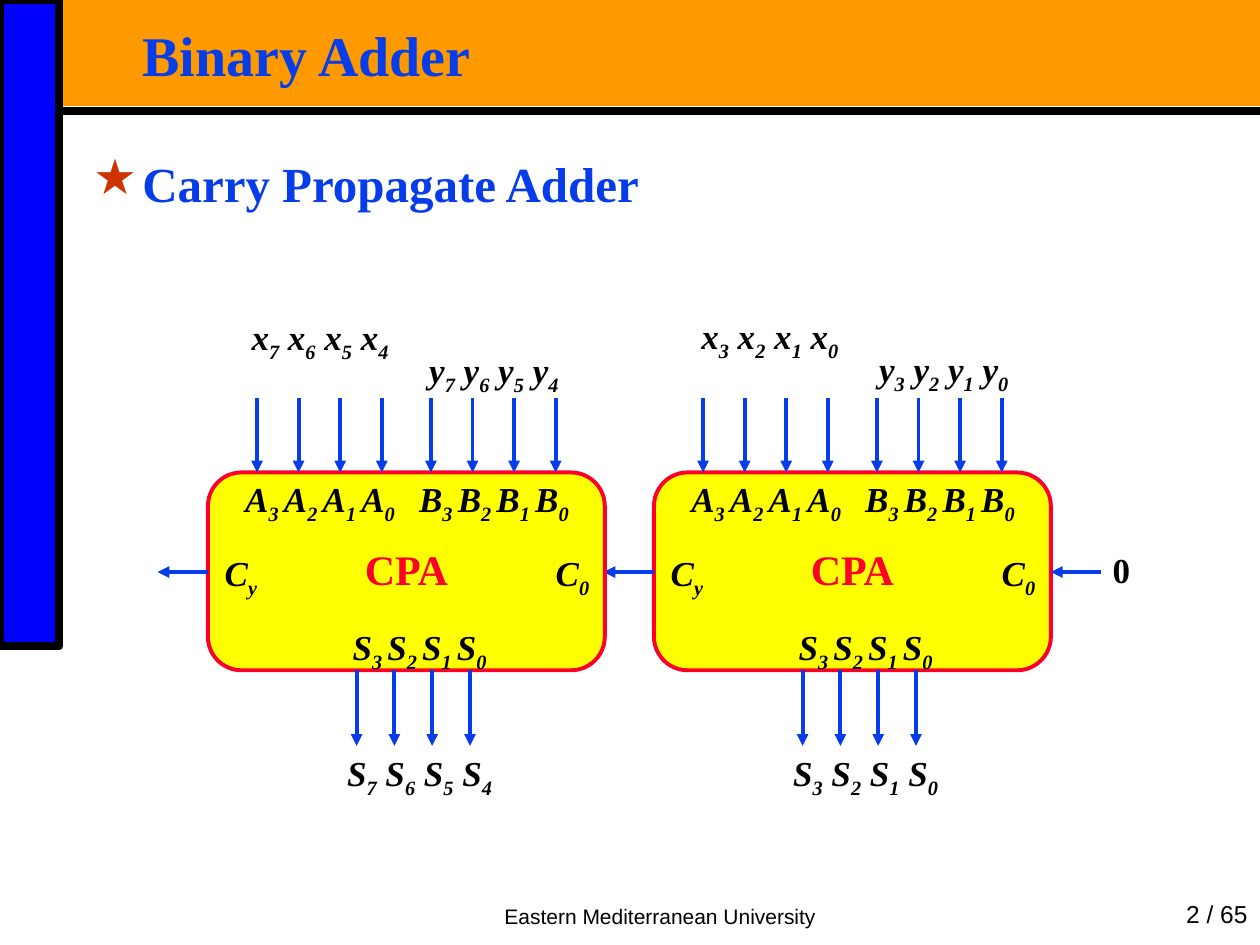
from dataclasses import dataclass, field

from lxml.etree import SubElement
from pptx import Presentation
from pptx.dml.color import RGBColor
from pptx.enum.shapes import MSO_CONNECTOR as Connector, MSO_SHAPE as Shape
from pptx.enum.text import MSO_ANCHOR as Anchor, MSO_AUTO_SIZE as AutoSize, PP_ALIGN as Align
from pptx.oxml.ns import qn
from pptx.util import Inches, Pt

COLORS = {
    "orange": "FF9900", "bar": "0000FF", "black": "000000", "blue": "063DE8",
    "star": "CC3300", "yellow": "FFFF00", "red": "FC0128",
}
SERIF, SANS = "Times New Roman", "Arial"
CENTER, LEFT, RIGHT = Align.CENTER, Align.LEFT, Align.RIGHT

# Adder geometry in inches
BODY_TOP, BODY_WIDTH, BODY_HEIGHT = 3.75, 3.15, 1.57
BODY_BOTTOM = BODY_TOP + BODY_HEIGHT
CARRY_Y, CARRY_LENGTH = 4.54, 0.4
INPUT_TOP, OUTPUT_BOTTOM = 3.16, 5.92
BUS_WIDTH = 1.38


@dataclass
class Style:
    size: float
    color: str = "black"
    name: str = SERIF
    bold: bool = True
    italic: bool = False
    paragraph: dict = field(default_factory=dict)
    frame: dict = field(default_factory=dict)
    insets: tuple[float, float] = (0, 0)


@dataclass
class Adder:
    left: float
    input_left: float
    input_top: float
    high_bit: int


GROW = {"auto_size": AutoSize.SHAPE_TO_FIT_TEXT}
FOOTER_FRAME = {"vertical_anchor": Anchor.BOTTOM}
FOOTER = Style(12, name=SANS, bold=False, frame=FOOTER_FRAME, insets=(0.1, 0.05))
PAGE = Style(14, name=SANS, bold=False, frame=FOOTER_FRAME, insets=(0.1, 0.05))
TITLE = Style(32, "blue", paragraph={"line_spacing": 0.87}, frame=GROW, insets=(0.07, 0.03))
HEADING = Style(28, "blue", paragraph={"space_before": Pt(17.5)}, insets=(0.07, 0.03))
BLOCK = Style(24, "red", paragraph={"line_spacing": 0.9, "space_before": Pt(15)},
              frame={"vertical_anchor": Anchor.MIDDLE})
PORT = Style(20, italic=True, paragraph={"line_spacing": 1.1, "space_before": Pt(12.5)},
             frame=GROW)
SIGNAL = Style(20, italic=True, paragraph={"line_spacing": 1.15}, frame=GROW)
CONSTANT = Style(20, paragraph={"line_spacing": 1.15}, frame=GROW)


def rgb(name: str) -> RGBColor:
    return RGBColor.from_string(COLORS[name])


def apply(target, values: dict) -> None:
    for attribute, value in values.items():
        setattr(target, attribute, value)


def write(shape, runs: list[tuple[str, bool]], style: Style, align):
    """Fill a shape with one paragraph; each run is (text, is_subscript)."""
    frame = shape.text_frame
    side, edge = (Inches(inset) for inset in style.insets)
    apply(frame, {"word_wrap": True, "vertical_anchor": Anchor.TOP,
                  "margin_left": side, "margin_right": side,
                  "margin_top": edge, "margin_bottom": edge, **style.frame})
    paragraph = frame.paragraphs[0]
    apply(paragraph, {"alignment": align, **style.paragraph})
    for text, subscript in runs:
        run = paragraph.add_run()
        run.text = text
        apply(run.font, {"size": Pt(style.size), "name": style.name,
                         "bold": style.bold, "italic": style.italic})
        run.font.color.rgb = rgb(style.color)
        if subscript:
            run.font._element.set("baseline", "-25000")
    return paragraph


def add_text(slide, box: tuple, runs: list[tuple[str, bool]], style: Style, align=CENTER):
    shape = slide.shapes.add_textbox(*map(Inches, box))
    return write(shape, runs, style, align)


def add_box(slide, kind, box: tuple, fill: str, line: str | None = None, width: float = 0):
    shape = slide.shapes.add_shape(kind, *map(Inches, box))
    shape.shadow.inherit = False
    shape.fill.solid()
    shape.fill.fore_color.rgb = rgb(fill)
    if line:
        shape.line.color.rgb = rgb(line)
        shape.line.width = Pt(width)
    else:
        shape.line.fill.background()
    return shape


def add_line(slide, start: tuple, end: tuple, color: str = "blue",
             width: float = 2.25, arrow: bool = True) -> None:
    line = slide.shapes.add_connector(Connector.STRAIGHT, *map(Inches, start + end))
    line.line.color.rgb = rgb(color)
    line.line.width = Pt(width)
    if arrow:
        SubElement(line.line._get_or_add_ln(), qn("a:tailEnd"), type="triangle")
    SubElement(line._element.spPr, qn("a:effectLst"))


def add_star_bullet(paragraph) -> None:
    properties = paragraph._p.get_or_add_pPr()
    properties.set("marL", str(Inches(0.39)))
    properties.set("indent", str(-Inches(0.39)))
    bullet_color = SubElement(properties, qn("a:buClr"))
    SubElement(bullet_color, qn("a:srgbClr"), val=COLORS["star"])
    SubElement(properties, qn("a:buChar"), char="★")


def bus(letter: str, high_bit: int, wide: bool = False) -> list[tuple[str, bool]]:
    """Four indexed names from high_bit down; wide ones get a full-size space."""
    runs = []
    for position in range(4):
        first, last = position == 0, position == 3
        runs.append((letter if first or not wide else f" {letter}", False))
        runs.append((f"{high_bit - position}" + ("" if wide or last else " "), True))
    return runs


def add_arrow_row(slide, left: float, gap: float, top: float, bottom: float) -> None:
    for index in range(4):
        x = left + index * gap
        add_line(slide, (x, top), (x, bottom))


def add_adder(slide, adder: Adder) -> None:
    left, high = adder.left, adder.high_bit
    body = add_box(slide, Shape.ROUNDED_RECTANGLE, (left, BODY_TOP, BODY_WIDTH, BODY_HEIGHT),
                   "yellow", "red", 2.25)
    body.adjustments[0] = 0.17
    write(body, [("CPA", False)], BLOCK, CENTER)

    # Port names inside the block
    for letter, offset, top in (("A", 0.2, BODY_TOP), ("B", 1.58, BODY_TOP), ("S", 0.99, 4.93)):
        add_text(slide, (left + offset, top, BUS_WIDTH, 0.42), bus(letter, 3), PORT)
    for index, offset, align in (("0", 2.76, LEFT), ("y", 0, RIGHT)):
        add_text(slide, (left + offset, 4.34, 0.39, 0.42),
                 [("C", False), (index, True)], PORT, align)

    # Input, output and carry arrows
    add_arrow_row(slide, left + 1.18, 0.3, BODY_BOTTOM, OUTPUT_BOTTOM)
    for offset in (0.39, 1.77):
        add_arrow_row(slide, left + offset, 0.33, INPUT_TOP, BODY_TOP)
    add_line(slide, (left, CARRY_Y), (left - CARRY_LENGTH, CARRY_Y))

    # Signal names outside the block
    signals = (("x", adder.input_left, adder.input_top),
               ("y", adder.input_left + BUS_WIDTH, adder.input_top + 0.26),
               ("S", left + 0.99, 5.91))
    for letter, x, y in signals:
        add_text(slide, (x, y, BUS_WIDTH, 0.44), bus(letter, high, wide=True), SIGNAL)


def main() -> None:
    presentation = Presentation()
    presentation.slide_width, presentation.slide_height = Inches(10), Inches(7.5)
    slide = presentation.slides.add_slide(presentation.slide_layouts[6])

    # Banner, side bar and rule
    add_box(slide, Shape.RECTANGLE, (0.47, 0, 9.53, 0.84), "orange")
    add_box(slide, Shape.RECTANGLE, (0, 0, 0.47, 5.13), "bar", "black", 4.5)
    add_line(slide, (0.47, 0.88), (10, 0.88), "black", 4.5, arrow=False)

    # Footer, title and heading
    add_text(slide, (3.43, 7.1, 3.62, 0.32), [("Eastern Mediterranean University", False)], FOOTER)
    add_text(slide, (8.69, 7.1, 1.31, 0.32), [("2 / 65", False)], PAGE, RIGHT)
    add_text(slide, (1.06, 0.21, 8.66, 0.52), [("Binary Adder", False)], TITLE, LEFT)
    heading = add_text(slide, (0.67, 1.19, 9.06, 0.52),
                       [("Carry Propagate Adder", False)], HEADING, LEFT)
    add_star_bullet(heading)

    # Two chained adders and the incoming carry
    low = Adder(left=5.19, input_left=5.42, input_top=2.44, high_bit=3)
    high = Adder(left=1.65, input_left=1.85, input_top=2.45, high_bit=7)
    for adder in (low, high):
        add_adder(slide, adder)
    carry_in = low.left + BODY_WIDTH
    add_line(slide, (carry_in + CARRY_LENGTH, CARRY_Y), (carry_in, CARRY_Y))
    add_text(slide, (8.74, 4.3, 0.32, 0.38), [("0", False)], CONSTANT)

    presentation.save("out.pptx")


if __name__ == "__main__":
    main()
